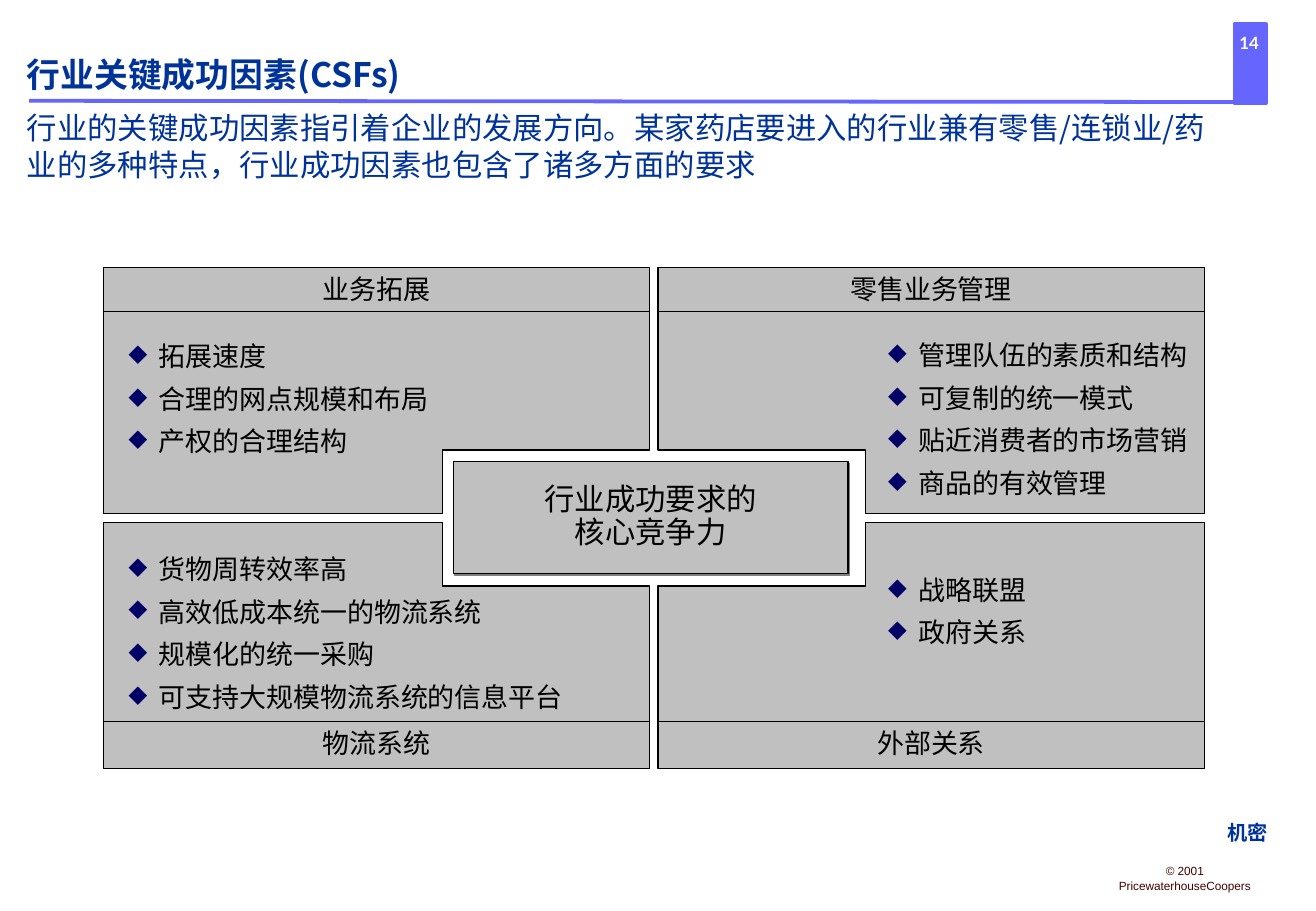
from dataclasses import dataclass

import lxml.etree
import pptx
import pptx.dml.color
import pptx.enum.shapes
import pptx.enum.text
import pptx.oxml
import pptx.oxml.ns
import pptx.shapes.autoshape
import pptx.slide
import pptx.text.text
import pptx.util

ALIGN = pptx.enum.text.PP_ALIGN
ANCHOR = pptx.enum.text.MSO_ANCHOR
RECTANGLE = pptx.enum.shapes.MSO_SHAPE.RECTANGLE

# Grid: every length is a number of 0.1 inch columns or rows
CELL = pptx.util.Inches(0.1)
SLIDE_COLUMNS, SLIDE_ROWS = 108.3, 75

# The four panels mirror around this centre; offsets are measured from it
CENTER_X, CENTER_Y = 53.8, 42.65
GAP = 0.35
OUTER_X, BODY_Y = 45.3, 17.0
NOTCH_X, NOTCH_Y = 17.4, 5.6
LABEL_START, LABEL_END = 16.75, 20.65


@dataclass(frozen=True)
class Theme:
    navy: str = "003399"
    violet: str = "6666FF"
    grey: str = "C0C0C0"
    shadow: str = "808080"
    black: str = "000000"
    white: str = "FFFFFF"
    maroon: str = "440000"
    bullet: str = "000066"
    heading_size: float = 20
    large_size: float = 18
    body_size: float = 16
    note_size: float = 12
    page_size: float = 10
    copyright_size: float = 7
    thin: float = 0.75
    thick: float = 2.25


THEME = Theme()


@dataclass(frozen=True)
class Box:
    left: float
    top: float
    width: float
    height: float

    def lengths(self) -> tuple[int, ...]:
        return tuple(cells(v) for v in (self.left, self.top, self.width, self.height))


@dataclass(frozen=True)
class Style:
    font: str
    size: float
    color: str
    bold: bool = False
    align: ALIGN = ALIGN.LEFT
    anchor: ANCHOR = ANCHOR.MIDDLE
    spacing: float | None = None
    inset: bool = True
    wrap: bool = True
    bullets: bool = False


@dataclass(frozen=True)
class Panel:
    label: str
    side: int
    level: int
    list_box: Box
    items: tuple[str, ...]


@dataclass(frozen=True)
class Note:
    text: str
    box: Box
    style: Style


CJK = "Noto Sans CJK SC"
HEADING = Style(CJK, THEME.heading_size, THEME.navy, True, anchor=ANCHOR.BOTTOM,
                spacing=pptx.util.Pt(24), inset=False)
MESSAGE = Style(CJK, THEME.large_size, THEME.navy, anchor=ANCHOR.BOTTOM,
                spacing=pptx.util.Pt(21.6), inset=False)
LIST = Style(CJK, THEME.body_size, THEME.black, anchor=ANCHOR.TOP,
             spacing=pptx.util.Pt(19.2), bullets=True)
LABEL = Style("Roboto", THEME.body_size, THEME.black, align=ALIGN.CENTER, spacing=0.9)
CORE = Style("Roboto", THEME.large_size, THEME.black, align=ALIGN.CENTER, spacing=0.9)
PAGE = Style("Lato", THEME.page_size, THEME.white, True, ALIGN.CENTER, inset=False, wrap=False)
COPYRIGHT = Style("Arial", THEME.copyright_size, THEME.maroon, align=ALIGN.CENTER, wrap=False)
SECRET = Style("Arial", THEME.note_size, THEME.navy, True, ALIGN.CENTER, wrap=False)

NOTES = (
    Note("14", Box(99.3, 2.5, 7, 2), PAGE),
    Note("© 2001 PricewaterhouseCoopers", Box(89.4, 71.2, 16.2, 2.2), COPYRIGHT),
    Note("机密", Box(100, 67, 5.3, 3), SECRET),
    Note("行业关键成功因素(CSFs)", Box(2.2, 1.8, 97.1, 6), HEADING),
)
PANELS = (
    Panel("业务拓展", -1, -1, Box(9.6, 27.5, 44.2, 10.7),
          ("拓展速度", "合理的网点规模和布局", "产权的合理结构")),
    Panel("零售业务管理", 1, -1, Box(72.1, 27.4, 27.5, 14.2),
          ("管理队伍的素质和结构", "可复制的统一模式", "贴近消费者的市场营销", "商品的有效管理")),
    Panel("物流系统", -1, 1, Box(9.6, 45, 37.9, 14.2),
          ("货物周转效率高", "高效低成本统一的物流系统", "规模化的统一采购",
           "可支持大规模物流系统的信息平台")),
    Panel("外部关系", 1, 1, Box(72.1, 46.7, 27.5, 7.2), ("战略联盟", "政府关系")),
)


def cells(count: float) -> int:
    return round(count * CELL)


def rgb(color: str) -> pptx.dml.color.RGBColor:
    return pptx.dml.color.RGBColor.from_string(color)


def add_bullet(paragraph: pptx.text.text._Paragraph) -> None:
    properties = paragraph._p.get_or_add_pPr()
    properties.set("marL", str(cells(2.5)))
    properties.set("indent", str(cells(-2.5)))
    color = lxml.etree.SubElement(properties, pptx.oxml.ns.qn("a:buClr"))
    lxml.etree.SubElement(color, pptx.oxml.ns.qn("a:srgbClr"), val=THEME.bullet)
    lxml.etree.SubElement(properties, pptx.oxml.ns.qn("a:buSzPct"), val="90000")
    lxml.etree.SubElement(properties, pptx.oxml.ns.qn("a:buChar"), char="◆")


def write(frame: pptx.text.text.TextFrame, lines: tuple[str, ...], style: Style) -> None:
    frame.word_wrap = style.wrap
    frame.vertical_anchor = style.anchor
    frame.margin_left = frame.margin_right = cells(1 if style.inset else 0)
    frame.margin_top = frame.margin_bottom = cells(0.5 if style.inset else 0)
    frame.text = "\n".join(lines)
    for index, paragraph in enumerate(frame.paragraphs):
        if style.bullets:
            add_bullet(paragraph)
            paragraph.space_before = pptx.util.Pt(6 if index else 0)
        paragraph.alignment = style.align
        paragraph.line_spacing = style.spacing
        font = paragraph.font
        font.name, font.size, font.bold = style.font, pptx.util.Pt(style.size), style.bold
        font.color.rgb = rgb(style.color)
        # Chinese characters take the East Asian typeface
        lxml.etree.SubElement(font._element, pptx.oxml.ns.qn("a:ea"), typeface=style.font)


def paint(shape: pptx.shapes.autoshape.Shape, fill: str, line: str, width: float) -> None:
    shape.shadow.inherit = False
    shape.fill.solid()
    shape.fill.fore_color.rgb = rgb(fill)
    shape.line.color.rgb = rgb(line)
    shape.line.width = pptx.util.Pt(width)


def add_block(slide: pptx.slide.Slide, box: Box, lines: tuple[str, ...],
              style: Style) -> pptx.shapes.autoshape.Shape:
    shape = slide.shapes.add_shape(RECTANGLE, *box.lengths())
    paint(shape, THEME.grey, THEME.black, THEME.thin)
    write(shape.text_frame, lines, style)
    return shape


def add_text(slide: pptx.slide.Slide, box: Box, lines: tuple[str, ...], style: Style) -> None:
    write(slide.shapes.add_textbox(*box.lengths()).text_frame, lines, style)


def add_body(slide: pptx.slide.Slide, panel: Panel) -> None:
    offsets = ((OUTER_X, GAP), (NOTCH_X, GAP), (NOTCH_X, NOTCH_Y),
               (GAP, NOTCH_Y), (GAP, BODY_Y), (OUTER_X, BODY_Y))
    points = [(cells(CENTER_X + panel.side * x), cells(CENTER_Y + panel.level * y))
              for x, y in offsets]
    builder = slide.shapes.build_freeform(*points[0])
    builder.add_line_segments(points[1:], close=True)
    paint(builder.convert_to_shape(), THEME.grey, THEME.black, THEME.thin)


def add_label(slide: pptx.slide.Slide, panel: Panel) -> None:
    left = CENTER_X + (GAP if panel.side > 0 else -OUTER_X)
    top = CENTER_Y + (LABEL_START if panel.level > 0 else -LABEL_END)
    box = Box(left, top, OUTER_X - GAP, LABEL_END - LABEL_START)
    add_block(slide, box, (panel.label,), LABEL)


def add_core(slide: pptx.slide.Slide) -> None:
    core = add_block(slide, Box(37.3, 38, 32.5, 9.2), ("行业成功要求的", "核心竞争力"), CORE)
    effects = core._element.spPr.find(pptx.oxml.ns.qn("a:effectLst"))
    shadow = lxml.etree.SubElement(effects, pptx.oxml.ns.qn("a:outerShdw"),
                                   dist=str(pptx.util.Pt(1.4)), dir="2700000")
    lxml.etree.SubElement(shadow, pptx.oxml.ns.qn("a:srgbClr"), val=THEME.shadow)


def main() -> None:
    presentation = pptx.Presentation()
    presentation.slide_width, presentation.slide_height = cells(SLIDE_COLUMNS), cells(SLIDE_ROWS)
    slide = presentation.slides.add_slide(presentation.slide_layouts[5])

    # Page marker and heading rule
    marker = slide.shapes.add_shape(RECTANGLE, *Box(101.6, 2, 2.6, 6.5).lengths())
    paint(marker, THEME.violet, THEME.violet, THEME.thick)
    rule = slide.shapes.add_connector(pptx.enum.shapes.MSO_CONNECTOR.STRAIGHT,
                                      cells(2.4), cells(8.3), cells(102.8), cells(8.4))
    rule.line.color.rgb = rgb(THEME.violet)
    rule.line.width = pptx.util.Pt(THEME.thick)
    lxml.etree.SubElement(rule._element.spPr, pptx.oxml.ns.qn("a:effectLst"))

    # Title message, heading and footer notes
    title = slide.shapes.title
    title.left, title.top, title.width, title.height = Box(2.2, 7.5, 97.1, 7.5).lengths()
    write(title.text_frame, ("行业的关键成功因素指引着企业的发展方向。某家药店要进入的行业兼有零售/连锁"
                             "业/药业的多种特点，行业成功因素也包含了诸多方面的要求",), MESSAGE)
    for note in NOTES:
        add_text(slide, note.box, (note.text,), note.style)

    # Core box and the four panels around it
    add_core(slide)
    for panel in PANELS:
        for draw in (add_label, add_body)[::-panel.level]:
            draw(slide, panel)
        add_text(slide, panel.list_box, panel.items, LIST)

    presentation.save("out.pptx")


if __name__ == "__main__":
    main()
